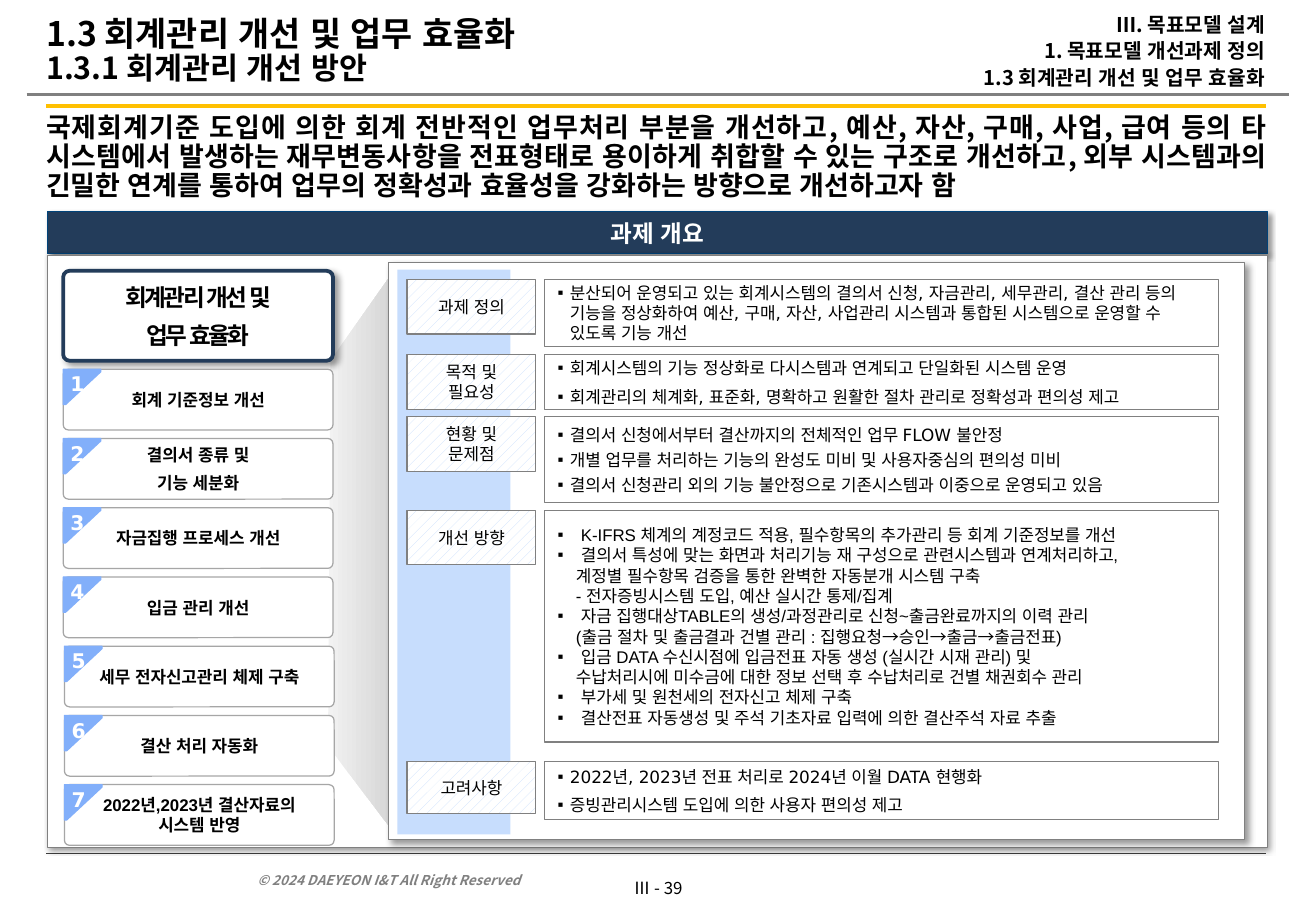
from lxml.etree import SubElement
from pptx import Presentation
from pptx.dml.color import RGBColor
from pptx.enum.dml import MSO_PATTERN as Pattern
from pptx.enum.lang import MSO_LANGUAGE_ID as Language
from pptx.enum.shapes import MSO_CONNECTOR as Connector, MSO_SHAPE as Shape
from pptx.enum.text import MSO_ANCHOR as Anchor, MSO_AUTO_SIZE as AutoSize, PP_ALIGN as Align
from pptx.oxml.ns import qn
from pptx.util import Pt

PX = 9144
KOREAN_FONT = "Noto Sans CJK KR"
CARD_INSETS = (11, 5, 11, 5)
NAVY, BLUE, PALE_BLUE, GRAY = "233C5A", "82AFFA", "C7DDFD", "808080"

CARDS = [
    ["회계 기준정보 개선"],
    ["결의서 종류 및", "기능 세분화"],
    ["자금집행 프로세스 개선"],
    ["입금 관리 개선"],
    ["세무 전자신고관리 체제 구축"],
    ["결산 처리 자동화"],
    ["2022년,2023년 결산자료의", "시스템 반영"],
]
BULLET, DETAIL = "▪", ""
DIRECTIONS = [
    (BULLET, "K-IFRS 체계의 계정코드 적용, 필수항목의 추가관리 등 회계 기준정보를 개선"),
    (BULLET, "결의서 특성에 맞는 화면과 처리기능 재 구성으로 관련시스템과 연계처리하고,"),
    (DETAIL, "계정별 필수항목 검증을 통한 완벽한 자동분개 시스템 구축"),
    (DETAIL, "- 전자증빙시스템 도입, 예산 실시간 통제/집계"),
    (BULLET, "자금 집행대상TABLE의 생성/과정관리로 신청~출금완료까지의 이력 관리"),
    (DETAIL, "(출금 절차 및 출금결과 건별 관리 : 집행요청→승인→출금→출금전표)"),
    (BULLET, "입금 DATA 수신시점에 입금전표 자동 생성 (실시간 시재 관리) 및"),
    (DETAIL, "수납처리시에 미수금에 대한 정보 선택 후 수납처리로 건별 채권회수 관리"),
    (BULLET, "부가세 및 원천세의 전자신고 체제 구축"),
    (BULLET, "결산전표 자동생성 및 주석 기초자료 입력에 의한 결산주석 자료 추출"),
]
ROWS = [
    ("과제 정의", 230, 45, 55, 5, [
        "분산되어 운영되고 있는 회계시스템의 결의서 신청, 자금관리, 세무관리, 결산 관리 등의 "
        "기능을 정상화하여 예산, 구매, 자산, 사업관리 시스템과 통합된 시스템으로 운영할 수 "
        "있도록 기능 개선"]),
    ("목적 및 필요성", 292, 45, 45, 5, [
        "회계시스템의 기능 정상화로 다시스템과 연계되고 단일화된 시스템 운영",
        "회계관리의 체계화, 표준화, 명확하고 원활한 절차 관리로 정확성과 편의성 제고"]),
    ("현황 및 문제점", 343, 45, 71, 3, [
        "결의서 신청에서부터 결산까지의 전체적인 업무 FLOW 불안정",
        "개별 업무를 처리하는 기능의 완성도 미비 및 사용자중심의 편의성 미비",
        "결의서 신청관리 외의 기능 불안정으로 기존시스템과 이중으로 운영되고 있음"]),
    ("개선 방향", 420, 45, 191, 0, DIRECTIONS),
    ("고려사항", 627, 43, 48, 5, [
        "2022년, 2023년 전표 처리로 2024년 이월 DATA 현행화",
        "증빙관리시스템 도입에 의한 사용자 편의성 제고"]),
]


def color(value):
    """Turn a hex string into a colour."""
    return RGBColor.from_string(value)


def px(*lengths):
    """Turn px lengths into EMU."""
    return [length * PX for length in lengths]


def set_bullet(paragraph, mark, margin, hanging):
    """Set the bullet mark and the indents of a paragraph."""
    properties = paragraph._p.get_or_add_pPr()
    properties.set("marL", str(margin * PX))
    properties.set("indent", str(-hanging * PX))
    if mark:
        SubElement(properties, qn("a:buFont"), typeface="Arial")
        SubElement(properties, qn("a:buChar"), char=mark)
    else:
        SubElement(properties, qn("a:buNone"))


def write_text(shape, lines, size=10, font="DejaVu Sans", ink="000000", bold=False, italic=False,
               align=Align.CENTER, anchor=Anchor.MIDDLE, insets=(10, 5, 10, 5), before=0,
               leading=None, tracking=0, wrap=True, hanging=0):
    """Fill a shape with paragraphs; a line is a text or a (bullet mark, text) pair."""
    frame = shape.text_frame
    frame.auto_size = AutoSize.NONE
    frame.word_wrap = wrap
    frame.vertical_anchor = anchor
    (frame.margin_left, frame.margin_top,
     frame.margin_right, frame.margin_bottom) = px(*insets)
    for index, line in enumerate(lines):
        mark, text = line if isinstance(line, tuple) else (BULLET if hanging else "", line)
        paragraph = frame.paragraphs[0] if index == 0 else frame.add_paragraph()
        paragraph.alignment = align
        paragraph.space_before = Pt(before if index else 0)
        if leading:
            paragraph.line_spacing = leading
        if mark:
            set_bullet(paragraph, mark, hanging, hanging)
        else:
            set_bullet(paragraph, mark, 15 if hanging else 0, 0)
        run = paragraph.add_run()
        run.text = text
        run.font.size, run.font.bold, run.font.italic = Pt(size), bold, italic
        run.font.language_id = Language.KOREAN
        run.font.color.rgb = color(ink)
        run.font.name = font
        properties = run._r.get_or_add_rPr()
        SubElement(properties, qn("a:ea"), typeface=KOREAN_FONT)
        if tracking:
            properties.set("spc", str(tracking))


def set_style(shape, fill=None, line=None, width=0.75):
    """Set the fill and outline of a shape and take its shadow away."""
    shape.shadow.inherit = False
    if fill:
        shape.fill.solid()
        shape.fill.fore_color.rgb = color(fill)
    if line:
        shape.line.color.rgb = color(line)
        shape.line.width = Pt(width)
    else:
        shape.line.fill.background()


def add_box(slide, left, top, width, height, fill="FFFFFF", line=GRAY, weight=0.75, radius=None):
    """Add a rectangle, rounded when a radius is given."""
    kind = Shape.RECTANGLE if radius is None else Shape.ROUNDED_RECTANGLE
    box = slide.shapes.add_shape(kind, *px(left, top, width, height))
    if radius is not None:
        box.adjustments[0] = radius
    set_style(box, fill, line, weight)
    return box


def add_shadow(shape, blur, distance):
    """Give a shape a soft shadow to the lower right."""
    effects = shape._element.spPr.find(qn("a:effectLst"))
    shadow = SubElement(effects, qn("a:outerShdw"), blurRad=str(Pt(blur)), dist=str(Pt(distance)),
                        dir="2700000", algn="tl", rotWithShape="0")
    ink = SubElement(shadow, qn("a:srgbClr"), val="000000")
    SubElement(ink, qn("a:alpha"), val="40000")


def add_outline(slide, points):
    """Add a closed freeform through the points."""
    builder = slide.shapes.build_freeform(*points[0], scale=PX)
    builder.add_line_segments(points[1:], close=True)
    return builder.convert_to_shape()


def add_rule(slide, left, right, top, ink, width):
    """Add a horizontal line."""
    rule = slide.shapes.add_connector(Connector.STRAIGHT, *px(left, top, right, top))
    rule.line.color.rgb = color(ink)
    rule.line.width = Pt(width)
    SubElement(rule._element.spPr, qn("a:effectLst"))


def add_label(slide, left, top, width, height, text, **text_format):
    """Add a text box with one line."""
    label = slide.shapes.add_textbox(*px(left, top, width, height))
    write_text(label, [text], font=KOREAN_FONT, **text_format)


def place_text(placeholder, left, top, width, height, lines, **text_format):
    """Move a placeholder and fill it."""
    (placeholder.left, placeholder.top,
     placeholder.width, placeholder.height) = px(left, top, width, height)
    write_text(placeholder, lines, font=KOREAN_FONT, bold=True, insets=(0, 0, 0, 0),
               leading=0.9, **text_format)


def add_card(slide, number, lines):
    """Add a task card with its numbered corner."""
    left, top = 52 + (number > 4), 304 + 57 * (number - 1)
    card = add_box(slide, left, top, 222, 50, line="A6A6A6", radius=0.086)
    write_text(card, lines, font="Arial", bold=True, insets=CARD_INSETS,
               before=5 if number == 2 else 0)
    corner = add_outline(slide, [(left, top), (left + 31, top), (left + 31, top + 2),
                                 (left + 2, top + 29), (left, top + 29)])
    set_style(corner, BLUE, BLUE)
    write_text(corner, [str(number)], size=12, ink="FFFFFF", bold=True, align=Align.LEFT,
               anchor=Anchor.TOP, insets=(6, 2, 2, 5))


def add_row(slide, label, top, label_height, height, before, lines):
    """Add a hatched label and its box of bullets."""
    tag = add_box(slide, 335, top, 106, label_height)
    tag.fill.patterned()
    tag.fill.pattern = Pattern.PERCENT_20
    tag.fill.fore_color.rgb, tag.fill.back_color.rgb = color(PALE_BLUE), color("FFFFFF")
    write_text(tag, [label], insets=CARD_INSETS)
    is_direction = lines is DIRECTIONS
    write_text(add_box(slide, 448, top, 555, height), lines, align=Align.LEFT, before=before,
               font="Arial" if is_direction else "DejaVu Sans",
               insets=CARD_INSETS, hanging=19 if is_direction else 10)


def add_beam(slide):
    """Add the shaded wedge between the cards and the detail panel."""
    beam = add_outline(slide, [(272, 297), (270, 614), (327, 689), (327, 219)])
    set_style(beam)
    beam.fill.gradient()
    beam.fill.gradient_angle = 0
    for stop, position, ink in zip(beam.fill.gradient_stops, (0, 0.82), ("F2F2F2", "D9D9D9")):
        stop.position, stop.color.rgb = position, color(ink)


def main():
    """Build the slide and save it."""
    presentation = Presentation()
    presentation.slide_width, presentation.slide_height = px(1083, 750)
    slide = presentation.slides.add_slide(presentation.slide_layouts[3])
    title, message, chapter = slide.placeholders
    place_text(title, 38, 0, 600, 85, ["1.3 회계관리 개선 및 업무 효율화", "1.3.1 회계관리 개선 방안"],
               size=20, align=Align.LEFT)
    title.text_frame.paragraphs[1].runs[0].font.size = Pt(18)
    place_text(message, 38, 94, 1004, 68, [
        "국제회계기준 도입에 의한 회계 전반적인 업무처리 부분을 개선하고, 예산, 자산, 구매, 사업, 급여 등의 "
        "타 시스템에서 발생하는 재무변동사항을 전표형태로 용이하게 취합할 수 있는 구조로 개선하고, 외부 "
        "시스템과의 긴밀한 연계를 통하여 업무의 정확성과 효율성을 강화하는 방향으로 개선하고자 함"],
        size=16, align=Align.JUSTIFY, anchor=Anchor.TOP)
    place_text(chapter, 687, 0, 354, 86,
               ["Ⅲ. 목표모델 설계", "1. 목표모델 개선과제 정의", "1.3 회계관리 개선 및 업무 효율화"],
               size=12, align=Align.RIGHT, before=2.9)
    add_rule(slide, 22, 1061, 78, GRAY, 1.5)
    add_rule(slide, 38, 1042, 87, "FFC000", 2.5)
    add_rule(slide, 38, 1042, 703, "404040", 0.5)
    add_label(slide, 512, 718, 59, 27, "Ⅲ - 39", insets=(6, 5, 6, 5), anchor=Anchor.TOP, wrap=False)
    add_label(slide, 202, 709, 302, 27, "© 2024 DAEYEON I&T All Right Reserved", size=8, ink=GRAY,
              bold=True, italic=True, align=Align.LEFT, anchor=Anchor.BOTTOM)

    banner = add_box(slide, 39, 174, 1004, 35, NAVY, "00437A", 0.5)
    add_shadow(banner, 3, 2)
    write_text(banner, ["과제 개요"], size=14, ink="FFFFFF", bold=True)
    add_shadow(add_box(slide, 39, 210, 1004, 488, weight=0.5), 3, 2)
    add_beam(slide)
    topic = add_box(slide, 52, 223, 222, 74, line=NAVY, weight=2.25, radius=0.07)
    add_shadow(topic, 4, 3)
    write_text(topic, ["회계관리 개선 및", "업무 효율화"], size=14, bold=True, insets=(8, 4, 8, 4),
               before=5, leading=1.05, tracking=-150)
    for number, lines in enumerate(CARDS, 1):
        add_card(slide, number, lines)
    add_shadow(add_box(slide, 320, 216, 704, 475), 4, 3)
    add_box(slide, 327, 222, 93, 465, PALE_BLUE, None)
    for row in ROWS:
        add_row(slide, *row)
    presentation.save("out.pptx")


if __name__ == "__main__":
    main()
